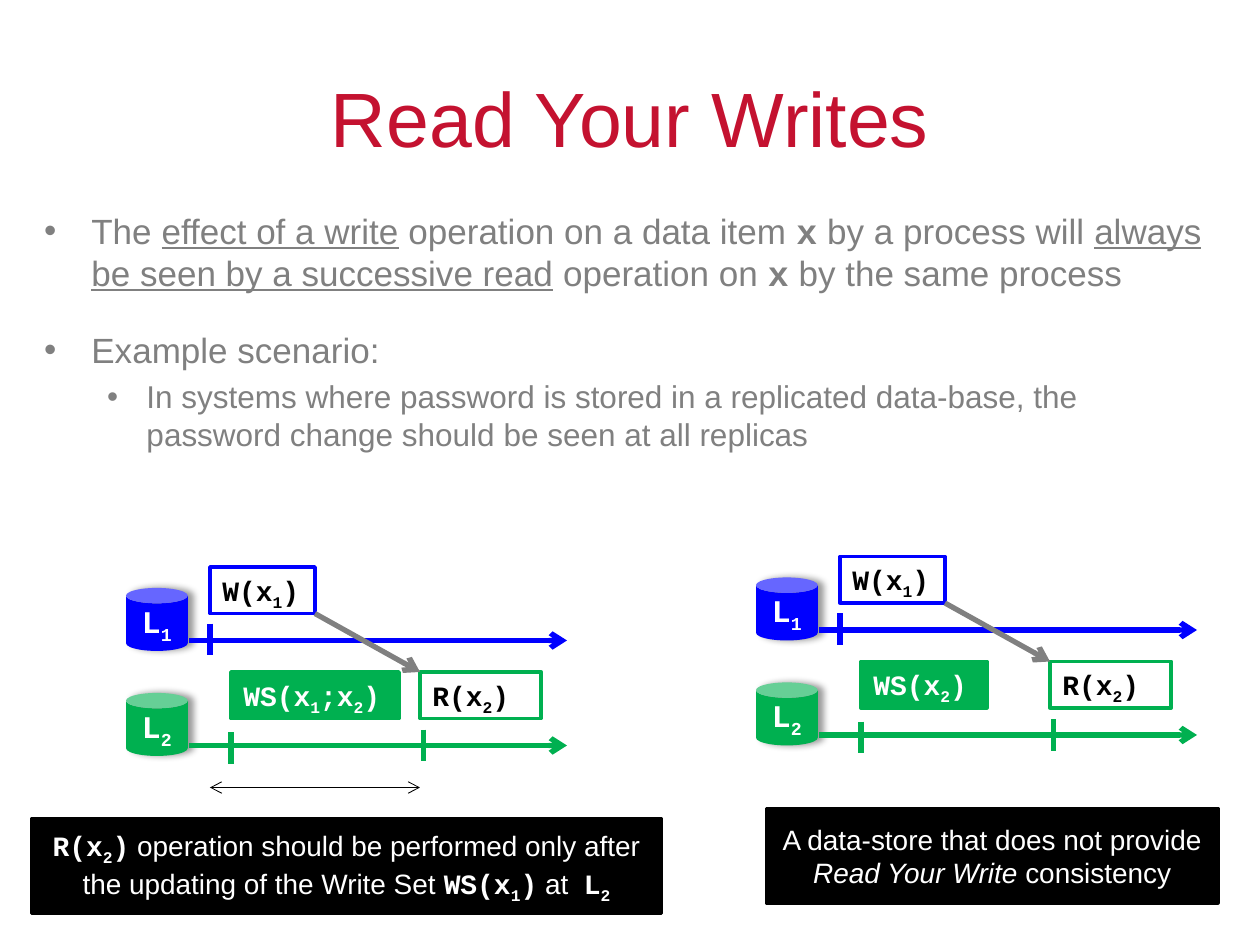
from lxml import etree
from pptx import Presentation
from pptx.dml.color import RGBColor
from pptx.enum import shapes as kinds, text as txt
from pptx.oxml.ns import qn
from pptx.util import Pt

BLUE, GREEN, GRAY = "0000FF", "00B050", "808080"
BLACK, WHITE, RED = "000000", "FFFFFF", "C41230"
SANS, MONO = "Arial", "Courier New"


def color(value):
    return RGBColor.from_string(value)


def place(shape, left, top, width, height):
    shape.left, shape.top = Pt(left), Pt(top)
    shape.width, shape.height = Pt(width), Pt(height)


def set_font(font, size, ink, name=None, bold=None):
    font.size, font.bold = Pt(size), bold
    font.color.rgb = color(ink)
    if name:
        font.name = name


def add_runs(para, pieces):
    """Each piece is (text, style); in "code" text, _n is a subscript n."""
    for words, style in pieces:
        for i, part in enumerate(words.split("_")):
            # After an underscore, the first character is the subscript
            for chunk, low in ((part[:1], True), (part[1:], False)) if i else ((part, False),):
                if not chunk:
                    continue
                run = para.add_run()
                run.text = chunk
                if style == "code":
                    run.font.name, run.font.bold = MONO, True
                else:
                    run.font.name = SANS
                if style == "underline":
                    run.font.underline = True
                if style == "italic":
                    run.font.italic = True
                if low:
                    run.font._element.set("baseline", "-25000")


def add_box(slide, box, pieces, size, fill, line=None, ink=WHITE,
            kind=kinds.MSO_SHAPE.RECTANGLE, centered=True):
    shape = slide.shapes.add_shape(kind, *map(Pt, box))
    shape.shadow.inherit = False
    shape.fill.solid()
    shape.fill.fore_color.rgb = color(fill)
    if line:
        shape.line.color.rgb = color(line)
        shape.line.width = Pt(2)
    else:
        shape.line.fill.background()
    frame = shape.text_frame
    frame.word_wrap = True
    frame.vertical_anchor = txt.MSO_ANCHOR.MIDDLE if centered else txt.MSO_ANCHOR.TOP
    para = frame.paragraphs[0]
    para.alignment = txt.PP_ALIGN.CENTER if centered else txt.PP_ALIGN.LEFT
    set_font(para.font, size, ink)
    add_runs(para, pieces)
    return shape


def add_line(slide, start, end, ink, width=3, ends=()):
    line = slide.shapes.add_connector(
        kinds.MSO_CONNECTOR.STRAIGHT, *map(Pt, (*start, *end)))
    line.line.color.rgb = color(ink)
    line.line.width = Pt(width)
    for end_tag in ends:
        etree.SubElement(line.line._get_or_add_ln(), qn(end_tag), type="arrow")
    etree.SubElement(line._element.spPr, qn("a:effectLst"))


def add_replica(slide, left, top, label, ink):
    """A database can with a soft shadow to its right."""
    can = add_box(slide, (left, top, 35.3, 36), [(label, "code")], 18, ink,
                  kind=kinds.MSO_SHAPE.CAN)
    effects = can._element.spPr.find(qn("a:effectLst"))
    shadow = etree.SubElement(effects, qn("a:outerShdw"), blurRad=str(Pt(4)),
                              dist=str(Pt(3)), dir="0", algn="l", rotWithShape="0")
    shade = etree.SubElement(shadow, qn("a:srgbClr"), val=BLACK)
    etree.SubElement(shade, qn("a:alpha"), val="40000")


def add_timeline(slide, left, top, write_set, set_width, caption, caption_box):
    """Two replicas with their operations over time, and a caption below."""
    def at(x, y):
        return left + x, top + y

    # Replicas and time axes
    for row, (label, ink) in enumerate((("L_1", BLUE), ("L_2", GREEN))):
        y = 60 * row
        add_replica(slide, *at(0, 12 + y), label, ink)
        add_line(slide, at(36, 42 + y), at(252, 42 + y), ink, ends=["a:tailEnd"])

    # Operations
    for x, y, width, label, fill, line, ink in (
            (60, 60, set_width, write_set, GREEN, GREEN, WHITE),
            (168, 60, 69.3, "R(x_2)", WHITE, GREEN, BLACK),
            (48, 0, 60, "W(x_1)", WHITE, BLUE, BLACK)):
        add_box(slide, (*at(x, y), width, 26.6), [(label, "code")], 16,
                fill, line, ink, centered=False)

    # Ticks on the axes
    for x, y, ink in ((48, 32.4, BLUE), (60, 94.4, GREEN), (170, 93, GREEN)):
        add_line(slide, at(x, y), at(x, y + 18), ink)

    # Caption, then the arrow from the write to the read
    x, y, width, height = caption_box
    add_box(slide, (*at(x, y), width, height), caption, 16, BLACK, BLACK)
    add_line(slide, at(108, 26.6), at(168, 60), GRAY, ends=["a:tailEnd"])


def fill_title(title, words):
    place(title, 36, 21.6, 648, 90)
    title.text_frame.text = words
    title.text_frame.vertical_anchor = txt.MSO_ANCHOR.MIDDLE
    para = title.text_frame.paragraphs[0]
    para.alignment = txt.PP_ALIGN.CENTER
    set_font(para.font, 44, RED, SANS)


def fill_body(body, items):
    place(body, 18, 116, 678, 354)
    frame = body.text_frame
    frame.auto_size = txt.MSO_AUTO_SIZE.NONE
    for i, (level, size, margin, hanging, before, pieces) in enumerate(items):
        para = frame.add_paragraph() if i else frame.paragraphs[0]
        para.level = level
        para.space_before = Pt(before)
        props = para._p.get_or_add_pPr()
        props.set("marL", str(Pt(margin)))
        props.set("indent", str(-Pt(hanging)))
        etree.SubElement(props, qn("a:buFont"), typeface=SANS)
        etree.SubElement(props, qn("a:buChar"), char="•")
        set_font(para.font, size, GRAY)
        add_runs(para, pieces)


def main():
    prs = Presentation()
    prs.slide_width, prs.slide_height = Pt(720), Pt(540)
    slide = prs.slides.add_slide(prs.slide_layouts[1])

    fill_title(slide.shapes.title, "Read Your Writes")
    fill_body(slide.placeholders[1], [
        (0, 20, 27, 27, 0, [
            ("The ", ""), ("effect of a write", "underline"),
            (" operation on a data item ", ""), ("x", "code"),
            (" by a process will ", ""),
            ("always be seen by a successive read", "underline"),
            (" operation on ", ""), ("x", "code"), (" by the same process", "")]),
        (0, 20, 27, 27, 20, [("Example scenario:", "")]),
        (1, 18, 58.5, 22.5, 4, [
            ("In systems where password is stored in a replicated data-base, "
             "the password change should be seen at all replicas", "")]),
    ])

    # Left: consistent store, with the span between write and read
    add_timeline(slide, 72, 324, "WS(x_1;x_2)", 96, [
        ("R(x_2)", "code"),
        (" operation should be performed only after the updating of the Write Set ", ""),
        ("WS(x_1)", "code"), (" at  ", ""), ("L_2", "code")], (-54, 144, 360, 54))
    add_line(slide, (120, 450), (240, 450), BLACK, 0.5, ["a:headEnd", "a:tailEnd"])

    # Right: inconsistent store
    add_timeline(slide, 432, 318, "WS(x_2)", 72, [
        ("A data-store that does not provide ", ""),
        ("Read Your Write", "italic"), (" consistency", "")], (6, 144, 258, 54))

    prs.save("out.pptx")


if __name__ == "__main__":
    main()
